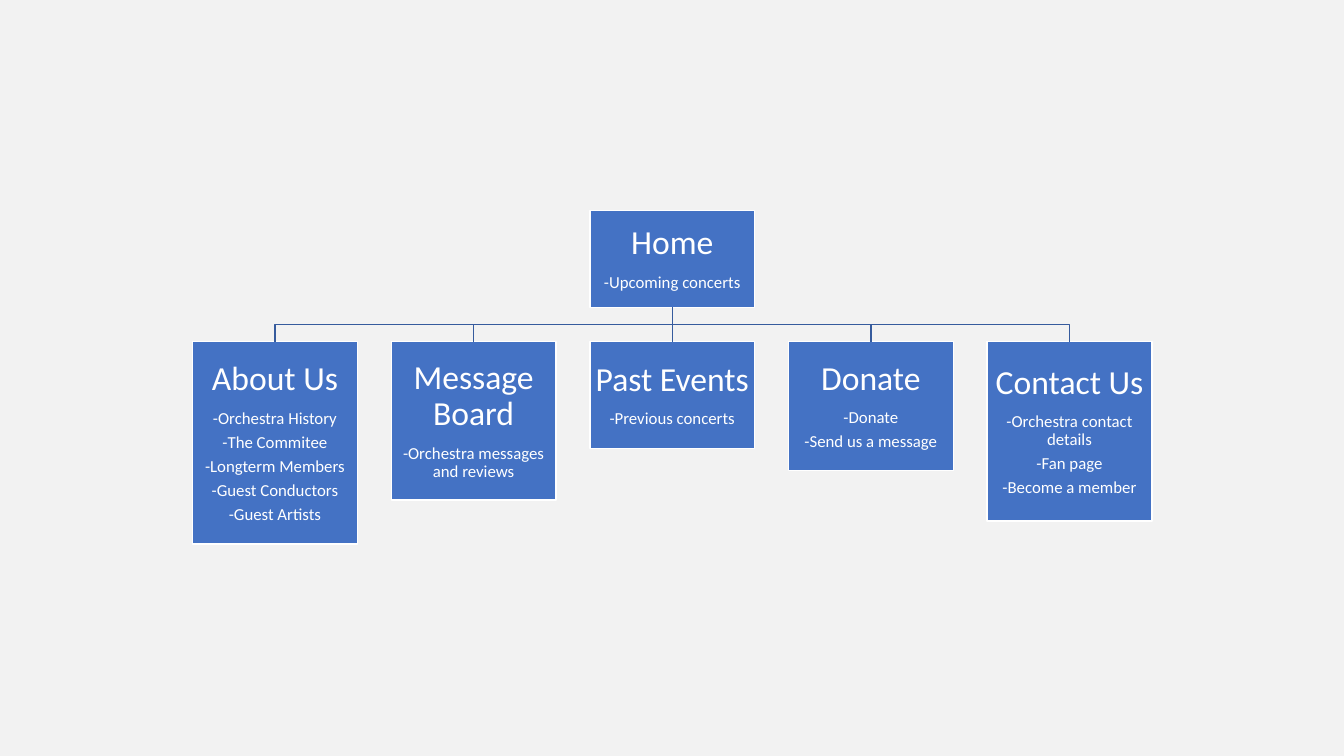
import pptx
import pptx.util
import pptx.dml.color
import pptx.enum.shapes
import pptx.enum.text
import pptx.oxml.ns
import lxml.etree


def color(code):
    return pptx.dml.color.RGBColor.from_string(code)


class Chart:
    """Style and slide of a site map; lengths are columns and rows."""
    BACK, BOX, EDGE, LINK = "F2F2F2", "4472C4", "FFFFFF", "365B9D"
    FONT, HEAD, ITEM = "Calibri", 24, 12
    LEFT, TOP, COL, ROW = 1.91, 2.09, 1.97, 0.34
    WIDE = 0.83

    def __init__(self, deck):
        self.slide = deck.slides.add_slide(deck.slide_layouts[6])
        fill = self.slide.background.fill
        fill.solid()
        fill.fore_color.rgb = color(self.BACK)

    def x(self, col):
        return pptx.util.Inches(self.LEFT + col * self.COL)

    def y(self, row):
        return pptx.util.Inches(self.TOP + row * self.ROW)

    def pen(self, line, code):
        line.color.rgb = color(code)
        line.width = pptx.util.Pt(1)

    def box(self, col, row, high, lines):
        left, top = self.x(col), self.y(row)
        box = self.slide.shapes.add_shape(
            pptx.enum.shapes.MSO_SHAPE.RECTANGLE, left, top,
            self.x(col + self.WIDE) - left, self.y(row + high) - top)
        box.shadow.inherit = False
        box.fill.solid()
        box.fill.fore_color.rgb = color(self.BOX)
        self.pen(box.line, self.EDGE)
        self.label(box.text_frame, lines)
        return box

    def label(self, frame, lines):
        frame.word_wrap = True
        frame.vertical_anchor = pptx.enum.text.MSO_ANCHOR.MIDDLE
        inset = pptx.util.Inches(0.02)
        frame.margin_left = frame.margin_right = inset
        frame.margin_top = frame.margin_bottom = inset
        frame.text = "\n".join(lines)
        for rank, para in enumerate(frame.paragraphs):
            size = self.ITEM if rank else self.HEAD
            para.alignment = pptx.enum.text.PP_ALIGN.CENTER
            para.line_spacing = 0.9
            para.space_after = pptx.util.Pt(size * 0.35)
            font = para.runs[0].font
            font.name = self.FONT
            font.size = pptx.util.Pt(size)
            font.color.rgb = color(self.EDGE)

    def link(self, top, low):
        """Straight line from the bottom of one box to the top of another."""
        line = self.slide.shapes.add_connector(
            pptx.enum.shapes.MSO_CONNECTOR.STRAIGHT, 0, 0, 0, 0)
        line.begin_connect(top, 2)
        line.end_connect(low, 0)
        self.pen(line.line, self.LINK)
        lxml.etree.SubElement(line._element.spPr,
                              pptx.oxml.ns.qn("a:effectLst"))

    def bend(self, top, low):
        """Line that runs down, across and down between two boxes."""
        start = top.left + top.width // 2
        end = low.left + low.width // 2
        base = top.top + top.height
        mid = (base + low.top) // 2
        form = self.slide.shapes.build_freeform(start, base)
        form.add_line_segments([(start, mid), (end, mid), (end, low.top)],
                               close=False)
        bend = form.convert_to_shape()
        bend.shadow.inherit = False
        bend.fill.background()
        self.pen(bend.line, self.LINK)


# Pages under the home page: height in rows, then heading and items
PAGES = [
    (5.91, ["About Us", "-Orchestra History", "-The Commitee",
            "-Longterm Members", "-Guest Conductors", "-Guest Artists"]),
    (4.62, ["Message Board", "-Orchestra messages and reviews"]),
    (3.12, ["Past Events", "-Previous concerts"]),
    (3.76, ["Donate", "-Donate", "-Send us a message"]),
    (5.24, ["Contact Us", "-Orchestra contact details", "-Fan page",
            "-Become a member"]),
]


def main():
    deck = pptx.Presentation()
    deck.slide_width = pptx.util.Inches(13.33)
    deck.slide_height = pptx.util.Inches(7.5)
    chart = Chart(deck)

    # Home page, above the middle column
    middle, high = len(PAGES) // 2, 2.82
    home = chart.box(middle, 0, high, ["Home", "-Upcoming concerts"])

    # Row of pages, each joined to the home page
    for col, (tall, lines) in enumerate(PAGES):
        page = chart.box(col, high + 1, tall, lines)
        if col == middle:
            chart.link(home, page)
        else:
            chart.bend(home, page)

    deck.save("out.pptx")


if __name__ == "__main__":
    main()
